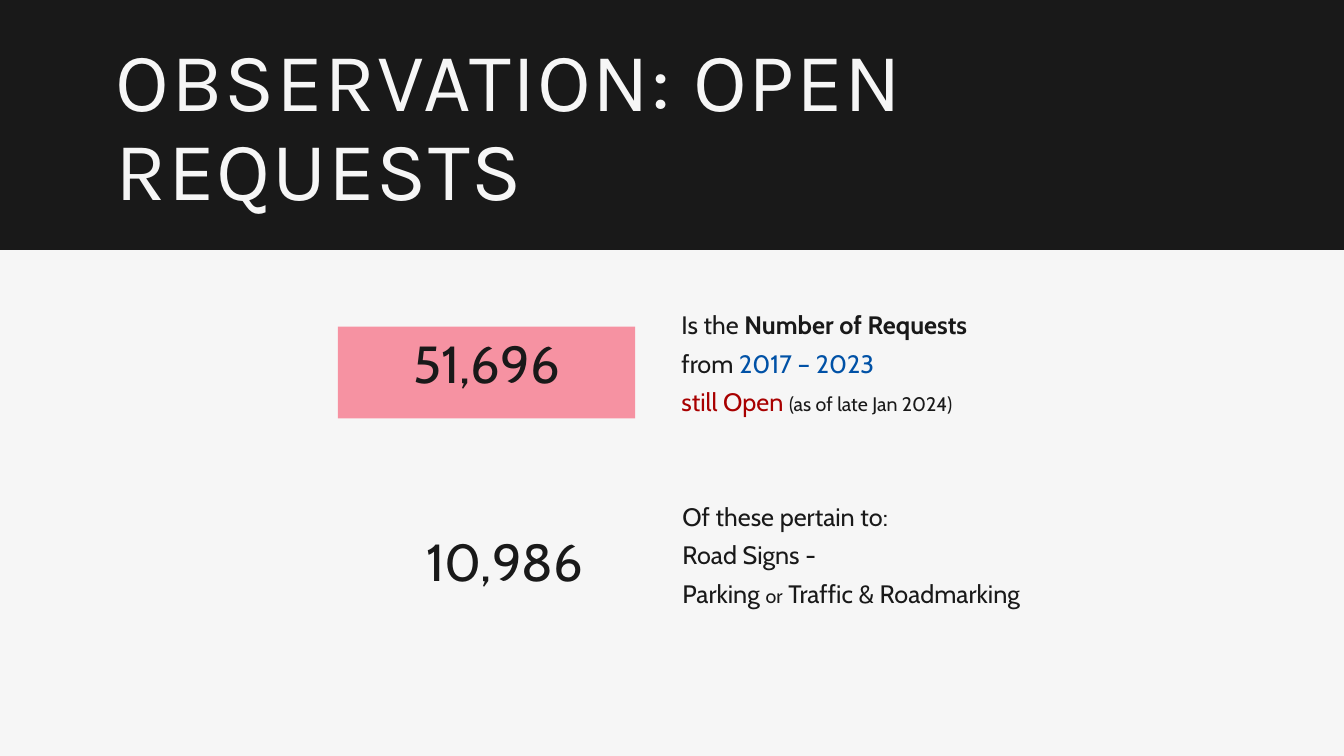
from dataclasses import dataclass

from pptx import Presentation
from pptx.dml.color import RGBColor
from pptx.enum.shapes import MSO_SHAPE as Preset
from pptx.enum.text import MSO_ANCHOR as Anchor, MSO_AUTO_SIZE as AutoSize, PP_ALIGN as Align
from pptx.shapes.autoshape import Shape
from pptx.slide import Slide
from pptx.text.text import TextFrame
from pptx.util import Inches, Pt


@dataclass(frozen=True)
class Theme:
    paper: str = "F6F6F6"
    ink: str = "191919"
    pink: str = "F692A2"
    blue: str = "0051A6"
    red: str = "A80000"
    heading_font: str = "Karla"
    body_font: str = "Cabin"
    title_size: float = 59.4
    figure_size: float = 37.2
    body_size: float = 18
    small_size: float = 14
    paragraph_gap: float = 6


THEME = Theme()


@dataclass(frozen=True)
class Area:
    left: float
    top: float
    width: float
    height: float

    def lengths(self) -> list[Inches]:
        return [Inches(v) for v in (self.left, self.top, self.width, self.height)]


@dataclass(frozen=True)
class Span:
    text: str
    size: float = THEME.body_size
    color: str = THEME.ink
    bold: bool = False
    font: str = THEME.body_font


Lines = list[list[Span]]


@dataclass(frozen=True)
class Finding:
    figure: str
    figure_area: Area
    fill: str | None
    lines: Lines
    lines_area: Area


FINDINGS = [
    Finding(
        "51,696", Area(3.35, 3.24, 2.95, 0.91), THEME.pink,
        [
            [Span("Is the "), Span("Number of Requests", bold=True)],
            [Span("from "), Span("2017 – 2023", color=THEME.blue)],
            [Span("still Open ", color=THEME.red),
             Span("(as of late Jan 2024)", THEME.small_size)],
        ],
        Area(6.66, 3.02, 3.39, 1.25),
    ),
    Finding(
        "10,986", Area(3.35, 5.2, 3.31, 0.91), None,
        [
            [Span("Of these pertain to:")],
            [Span("Road Signs -")],
            [Span("Parking "), Span("or", THEME.small_size),
             Span(" Traffic & Roadmarking")],
        ],
        Area(6.67, 4.92, 4.5, 1.25),
    ),
]


def write(frame: TextFrame, lines: Lines, align: Align = Align.LEFT,
          gap: float = THEME.paragraph_gap, anchor: Anchor = Anchor.TOP) -> None:
    frame.word_wrap = True
    frame.auto_size = AutoSize.NONE
    frame.vertical_anchor = anchor
    for index, spans in enumerate(lines):
        para = frame.add_paragraph() if index else frame.paragraphs[0]
        para.alignment = align
        para.space_after = Pt(gap)
        for span in spans:
            run = para.add_run()
            run.text = span.text
            run.font.name = span.font
            run.font.size = Pt(span.size)
            run.font.bold = span.bold
            run.font.color.rgb = RGBColor.from_string(span.color)


def add_block(page: Slide, area: Area, fill: str) -> Shape:
    block = page.shapes.add_shape(Preset.RECTANGLE, *area.lengths())
    block.shadow.inherit = False
    block.fill.solid()
    block.fill.fore_color.rgb = RGBColor.from_string(fill)
    block.line.fill.background()
    return block


def add_title(page: Slide, text: str, area: Area) -> None:
    title = page.shapes.title
    title.left, title.top, title.width, title.height = area.lengths()
    span = Span(text, THEME.title_size, THEME.paper, font=THEME.heading_font)
    write(title.text_frame, [[span]], gap=0, anchor=Anchor.MIDDLE)
    para = title.text_frame.paragraphs[0]
    para.line_spacing = 0.9
    para.runs[0].font._element.set("spc", "120")
    # Bring the title in front of the dark band
    title.element.getparent().append(title.element)


def add_finding(page: Slide, finding: Finding) -> None:
    if finding.fill:
        figure = add_block(page, finding.figure_area, finding.fill)
    else:
        figure = page.shapes.add_textbox(*finding.figure_area.lengths())
    write(figure.text_frame, [[Span(finding.figure, THEME.figure_size)]], Align.CENTER)
    box = page.shapes.add_textbox(*finding.lines_area.lengths())
    write(box.text_frame, finding.lines)


def main() -> None:
    deck = Presentation()
    deck.slide_width, deck.slide_height = Inches(13.33), Inches(7.5)
    page = deck.slides.add_slide(deck.slide_layouts.get_by_name("Title Only"))

    # Background and header band
    page.background.fill.solid()
    page.background.fill.fore_color.rgb = RGBColor.from_string(THEME.paper)
    add_block(page, Area(0, 0, 13.33, 7.5), THEME.paper)
    add_block(page, Area(0, 0, 13.33, 2.48), THEME.ink)
    add_title(page, "OBSERVATION: OPEN REQUESTS", Area(1.05, 0.35, 11.23, 1.86))

    # Key figures with their explanations
    for finding in FINDINGS:
        add_finding(page, finding)

    deck.save("out.pptx")


if __name__ == "__main__":
    main()
